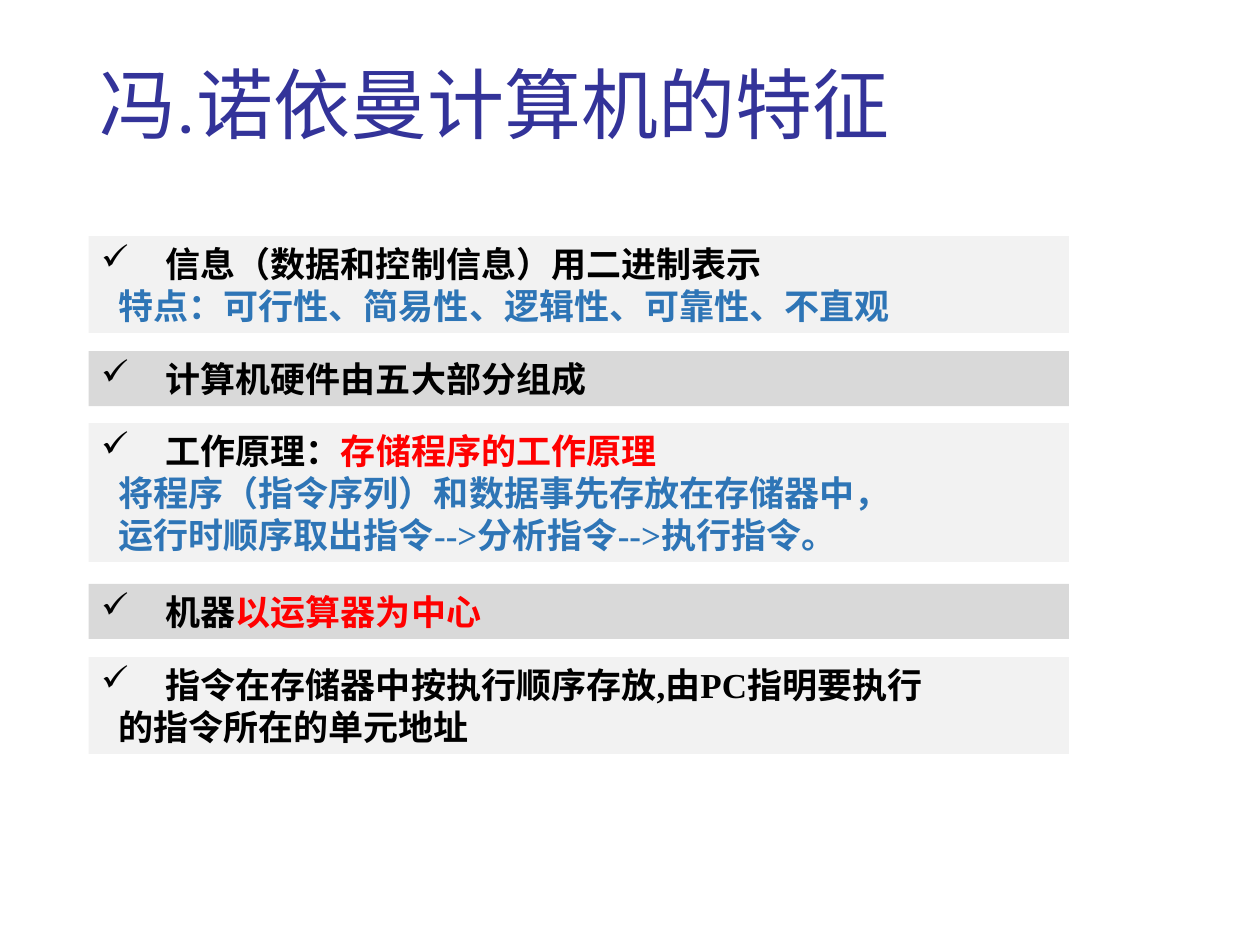
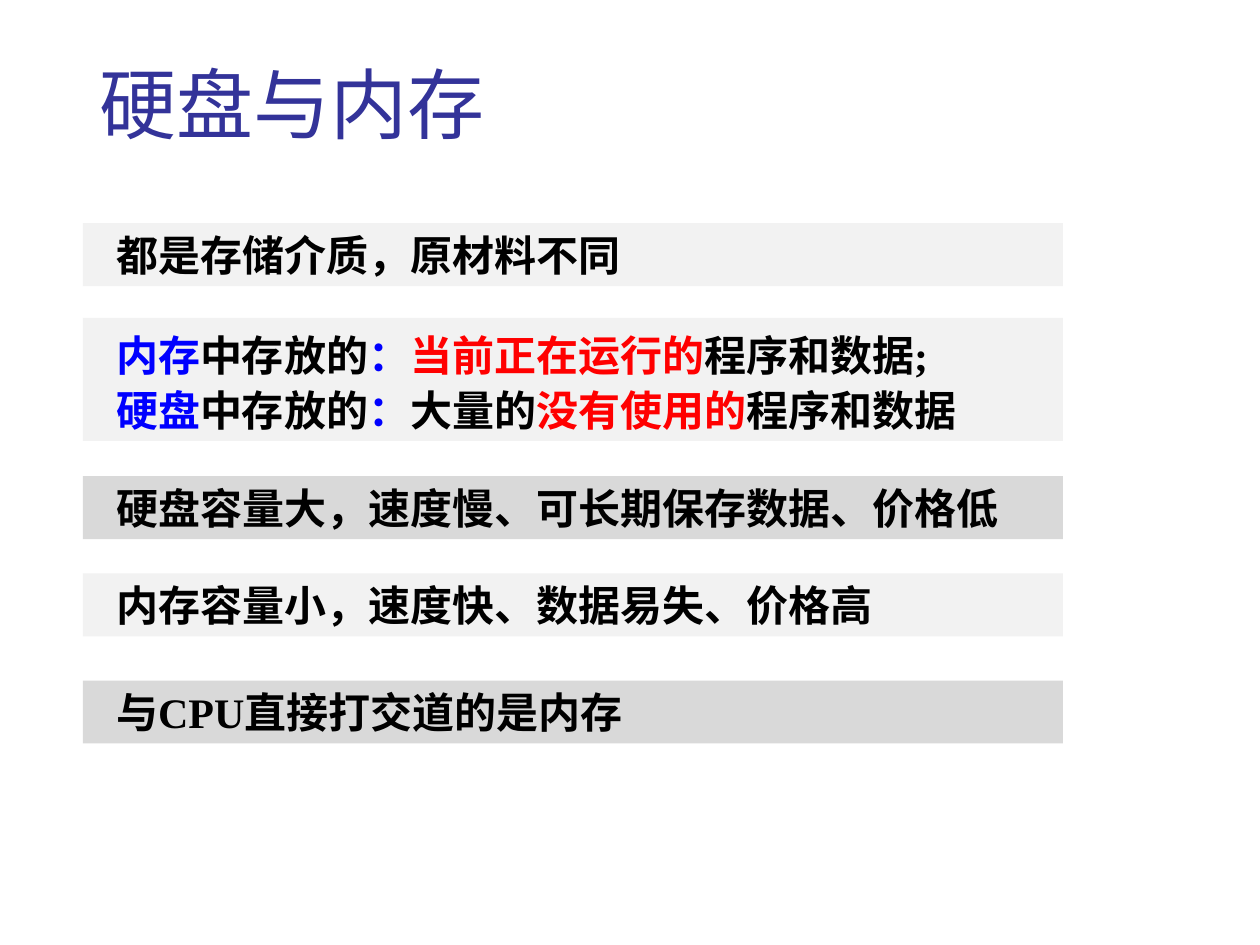
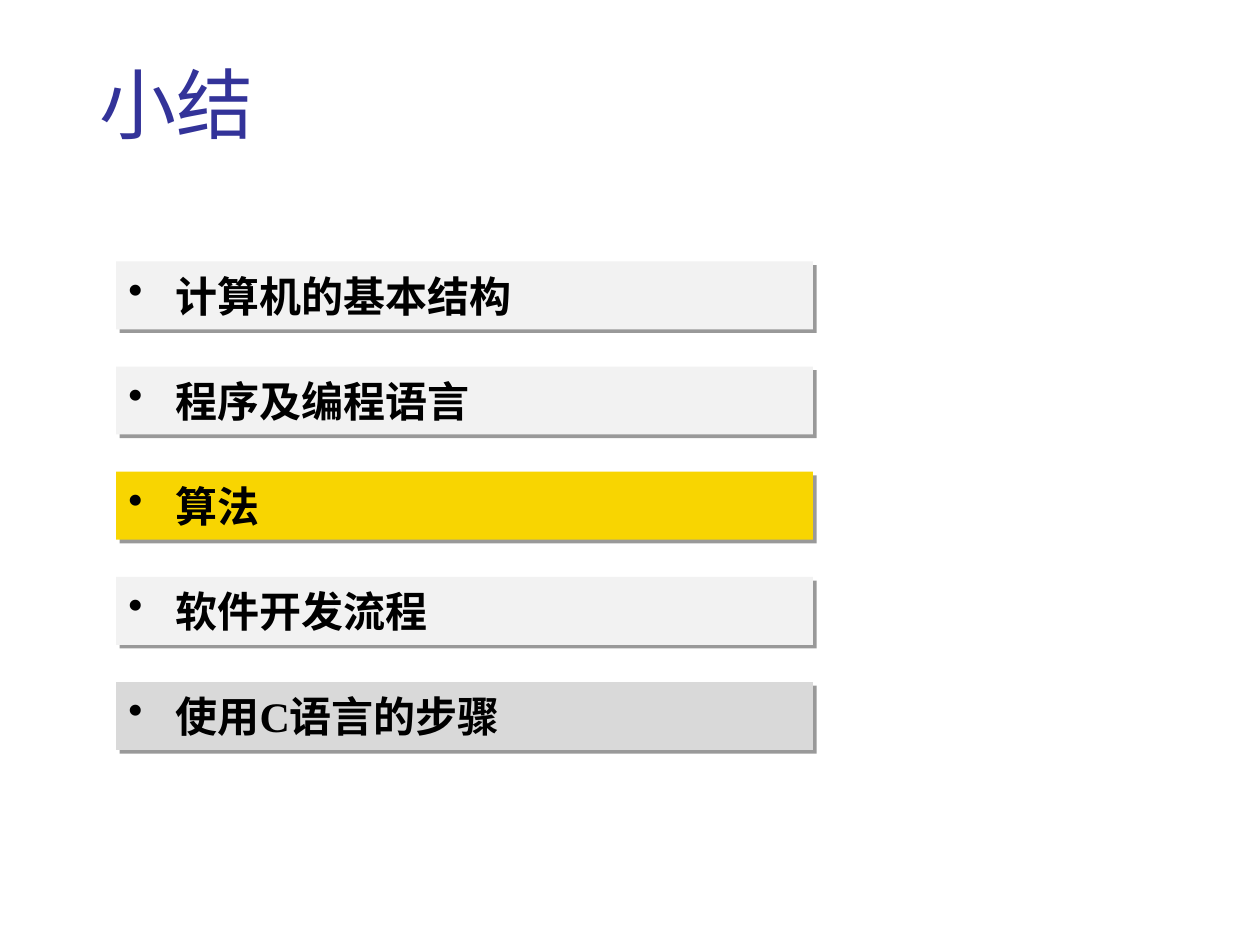
from lxml.etree import SubElement
from pptx import Presentation
from pptx.dml.color import RGBColor
from pptx.enum.lang import MSO_LANGUAGE_ID as LANG
from pptx.enum.shapes import MSO_SHAPE as SHAPE
from pptx.enum.text import MSO_ANCHOR as ANCHOR, MSO_AUTO_SIZE as AUTO, PP_ALIGN as ALIGN
from pptx.oxml.ns import qn
from pptx.util import Cm, Pt

BLACK, RED, BLUE, STEEL = "000000", "FF0000", "0000FF", "2E75B6"
LIGHT, GREY, YELLOW, TITLE = "F2F2F2", "D9D9D9", "F8D501", "333399"
TITLE_FONT = {"name": "Roboto", "size": Pt(44), "bold": False}
BODY_FONT = {"name": "Times New Roman", "bold": True}


def rgb(value):
    return RGBColor.from_string(value)


def set_indent(p, margin, bullet=None):
    """Indent a paragraph; a bullet hangs at the left edge of the text."""
    pPr = p._p.get_or_add_pPr()
    pPr.set("marL", str(Cm(margin)))
    pPr.set("indent", str(-Cm(margin) if bullet else 0))
    if bullet:
        color = SubElement(pPr, qn("a:buClr"))
        SubElement(color, qn("a:srgbClr"), val=BLACK)
        SubElement(pPr, qn("a:buChar"), char=bullet)
    else:
        SubElement(pPr, qn("a:buNone"))


def add_hard_shadow(s):
    effects = s._element.spPr.find(qn("a:effectLst"))
    shadow = SubElement(effects, qn("a:outerShdw"), blurRad="0", dist=str(Pt(3)),
                        dir="2700000", algn="tl", rotWithShape="0")
    color = SubElement(shadow, qn("a:srgbClr"), val=BLACK)
    SubElement(color, qn("a:alpha"), val="40000")


class Deck:
    def __init__(self):
        self.prs = Presentation()
        self.prs.slide_width, self.prs.slide_height = Cm(25.4), Cm(19.05)
        self.slide = None

    def add_slide(self, title, height=3.68):
        self.slide = self.prs.slides.add_slide(self.prs.slide_layouts[5])
        s = self.slide.shapes.title
        s.left, s.top, s.width, s.height = Cm(1.75), Cm(1.02), Cm(21.92), Cm(height)
        tf = s.text_frame
        tf.auto_size, tf.vertical_anchor = AUTO.NONE, ANCHOR.TOP
        p = tf.paragraphs[0]
        p.alignment = ALIGN.LEFT
        self.add_run(p, title, TITLE, TITLE_FONT)

    def add_run(self, p, text, color, style):
        r = p.add_run()
        r.text = text
        for key, value in style.items():
            setattr(r.font, key, value)
        r.font.language_id = LANG.SIMPLIFIED_CHINESE
        r.font.color.rgb = rgb(color)

    def add_band(self, box, fill, lines, size, margin, bullet=None, rest_margin=0,
                 spacing=None, raised=False):
        """Draw a filled bar; each line is a list of (text, color) runs."""
        s = self.slide.shapes.add_shape(SHAPE.RECTANGLE, *map(Cm, box))
        s.shadow.inherit = False
        s.fill.solid()
        s.fill.fore_color.rgb = rgb(fill)
        s.line.fill.background()
        if raised:
            add_hard_shadow(s)
        tf = s.text_frame
        tf.word_wrap = True
        tf.auto_size = AUTO.NONE if raised else AUTO.SHAPE_TO_FIT_TEXT
        tf.vertical_anchor = ANCHOR.MIDDLE if raised else ANCHOR.TOP
        for i, line in enumerate(lines):
            p = tf.add_paragraph() if i else tf.paragraphs[0]
            if i and bullet:
                set_indent(p, rest_margin)
            else:
                set_indent(p, margin, bullet)
            p.alignment = ALIGN.LEFT
            if spacing:
                p.line_spacing = spacing
            for text, color in line:
                self.add_run(p, text, color, BODY_FONT | {"size": Pt(size)})


def add_features(deck):
    deck.add_slide("冯.诺依曼计算机的特征")
    bands = [
        (4.76, 1.95, LIGHT, [[("信息（数据和控制信息）用二进制表示", BLACK)],
                             [("特点：可行性、简易性、逻辑性、可靠性、不直观", STEEL)]]),
        (7.08, 1.11, GREY, [[("计算机硬件由五大部分组成", BLACK)]]),
        (8.53, 2.8, LIGHT, [[("工作原理：", BLACK), ("存储程序的工作原理", RED)],
                            [("将程序（指令序列）和数据事先存放在存储器中，", STEEL)],
                            [("运行时顺序取出指令-->分析指令-->执行指令。", STEEL)]]),
        (11.77, 1.11, GREY, [[("机器", BLACK), ("以运算器为中心", RED)]]),
        (13.25, 1.95, LIGHT, [[("指令在存储器中按执行顺序存放,由PC指明要执行", BLACK)],
                              [("的指令所在的单元地址", BLACK)]]),
    ]
    for top, height, fill, lines in bands:
        deck.add_band((1.79, top, 19.76, height), fill, lines, 20, 1.3, "✓", 0.35)


def add_storage(deck):
    deck.add_slide("硬盘与内存", 2.72)
    contents = [
        [("内存", BLUE), ("中存放的", BLACK), ("：", BLUE),
         ("当前正在运行的", RED), ("程序和数据;", BLACK)],
        [("硬盘", BLUE), ("中存放的", BLACK), ("：", BLUE), ("大量的", BLACK),
         ("没有使用的", RED), ("程序和数据", BLACK)],
    ]
    bands = [
        (4.5, 1.27, LIGHT, [[("都是存储介质，原材料不同", BLACK)]], None),
        (6.41, 2.48, LIGHT, contents, 1.1),
        (9.6, 1.27, GREY, [[("硬盘容量大，速度慢、可长期保存数据、价格低", BLACK)]], None),
        (11.56, 1.27, LIGHT, [[("内存容量小，速度快、数据易失、价格高", BLACK)]], None),
        (13.72, 1.27, GREY, [[("与CPU直接打交道的是内存", BLACK)]], None),
    ]
    for top, height, fill, lines, spacing in bands:
        deck.add_band((1.67, top, 19.76, height), fill, lines, 24, 0.42, spacing=spacing)


def add_summary(deck):
    deck.add_slide("小结")
    topics = [("计算机的基本结构", LIGHT), ("程序及编程语言", LIGHT), ("算法", YELLOW),
              ("软件开发流程", LIGHT), ("使用C语言的步骤", GREY)]
    for i, (topic, fill) in enumerate(topics):
        deck.add_band((2.34, 5.27 + 2.12 * i, 14.05, 1.37), fill, [[(topic, BLACK)]],
                      24, 0.95, "•", raised=True)


def main():
    deck = Deck()
    add_features(deck)
    add_storage(deck)
    add_summary(deck)
    deck.prs.save("out.pptx")


if __name__ == "__main__":
    main()
